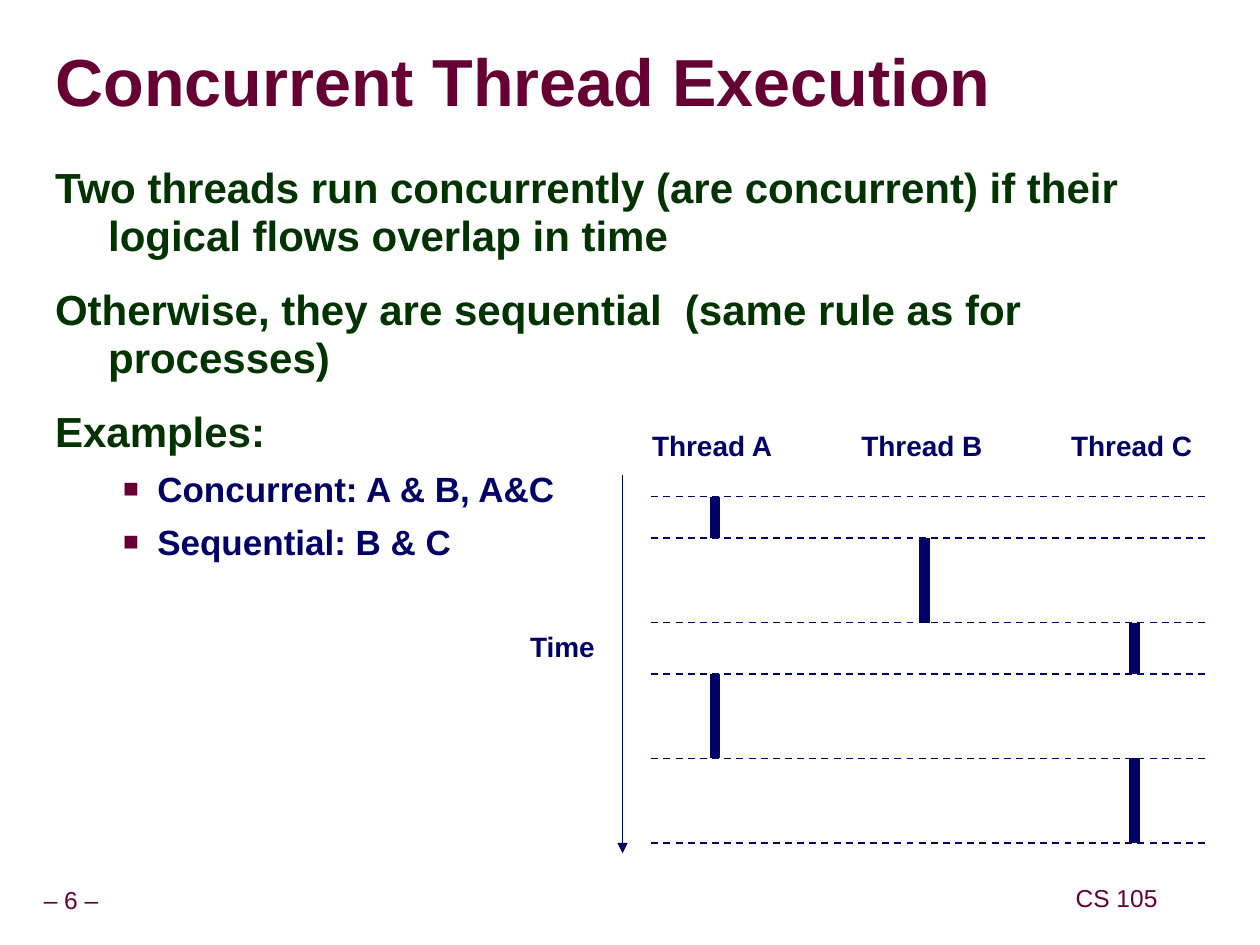
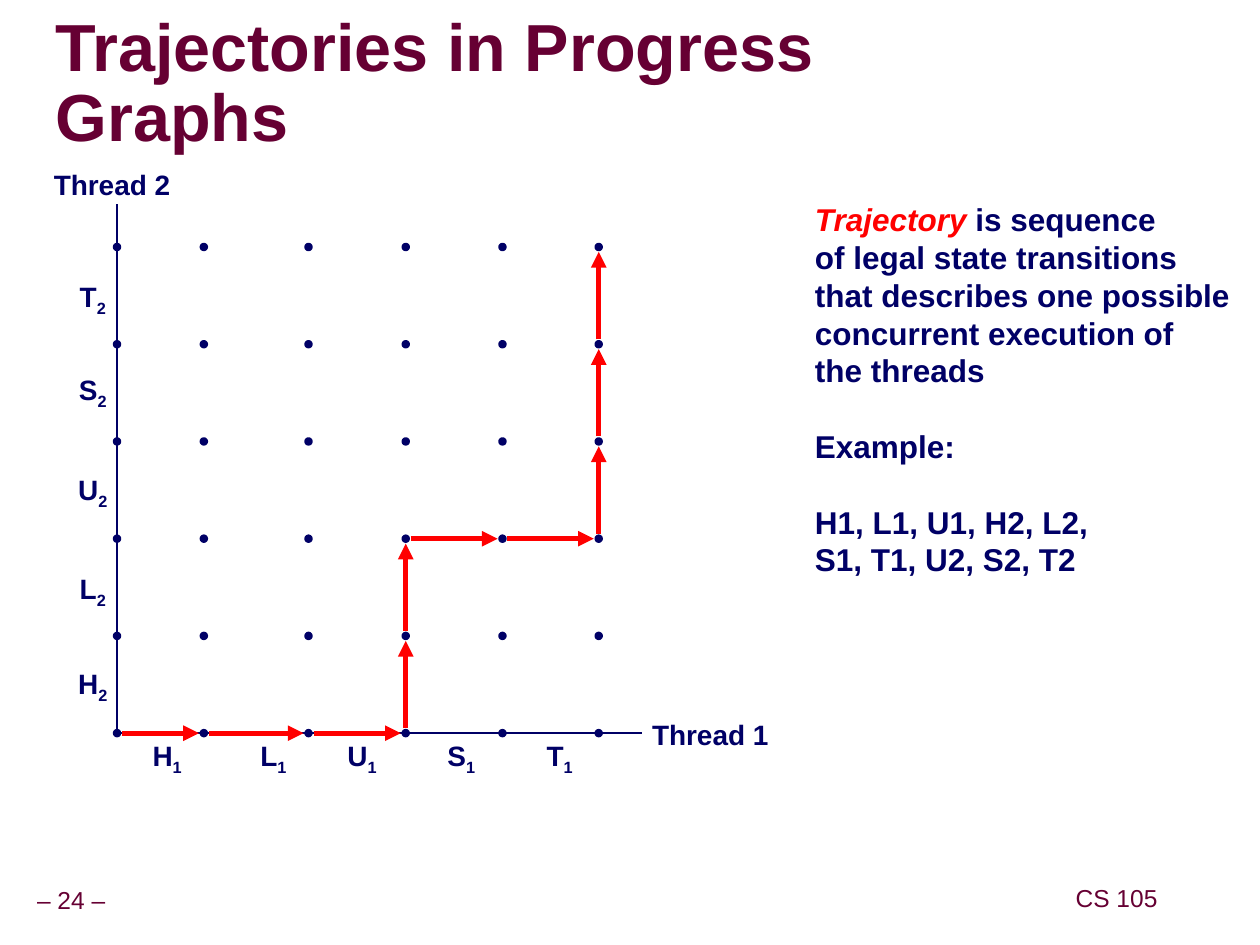
from itertools import pairwise, product

from lxml.etree import SubElement
from pptx import Presentation
from pptx.dml.color import RGBColor
from pptx.enum.dml import MSO_LINE
from pptx.enum.shapes import MSO_CONNECTOR, MSO_SHAPE
from pptx.enum.text import MSO_ANCHOR, MSO_AUTO_SIZE, PP_ALIGN
from pptx.oxml.ns import qn
from pptx.util import Cm, Pt

NAVY, WINE, GREEN, RED = "000066", "660033", "003300", "FF0000"


def paint(target, color):
    """Colour a font or a fill."""
    if hasattr(target, "solid"):
        target.solid()
        target = target.fore_color
    else:
        target = target.color
    target.rgb = RGBColor.from_string(color)


def bullet(para, left, hang, char=None):
    """Set a hanging indent, with or without a bullet."""
    props = para._p.get_or_add_pPr()
    props.set("marL", str(Cm(left)))
    props.set("indent", str(-Cm(hang)))
    if char is None:
        SubElement(props, qn("a:buNone"))
        return
    tint = SubElement(props, qn("a:buClr"))
    SubElement(tint, qn("a:srgbClr")).set("val", WINE)
    SubElement(props, qn("a:buSzPct")).set("val", "75000")
    SubElement(props, qn("a:buFont")).set("typeface", "Arial")
    SubElement(props, qn("a:buChar")).set("char", char)


def write(para, text, size=16, color=NAVY, bold=True, italic=False,
          base=None, align=PP_ALIGN.LEFT, lines=1.0, before=0):
    """Add a run of text to a paragraph and format both."""
    para.alignment = align
    para.line_spacing = lines
    para.space_before = Pt(before)
    run = para.add_run()
    run.text = text
    font = run.font
    font.name, font.size = "Arial", Pt(size)
    font.bold, font.italic = bold, italic
    paint(font, color)
    if base:
        run._r.get_or_add_rPr().set("baseline", str(base * 1000))


class Deck:
    def __init__(self):
        self.pres = Presentation()
        self.pres.slide_width, self.pres.slide_height = Cm(25.4), Cm(19.05)
        self.slide = None

    def start(self, title, page, layout):
        """Open a slide with its title and footers."""
        self.slide = self.pres.slides.add_slide(self.pres.slide_layouts[layout])
        frame = self.hold(self.slide.shapes.title, 1.12, 0.69, 19.84, 2.08,
                          pad=(0, 0), anchor=MSO_ANCHOR.MIDDLE)
        write(frame.paragraphs[0], title, size=38, color=WINE, lines=0.87)
        foot = dict(size=14, color=WINE, bold=False, lines=0.9)
        self.label(f"– {page} –", 0, 17.78, 2.87, 0.79, **foot)
        self.label("CS 105", 21.56, 17.75, 1.9, 0.79, **foot)

    def hold(self, shape, x, y, w, h, pad=(0.25, 0.13),
             anchor=MSO_ANCHOR.TOP, wrap=True):
        """Place a text shape and return its frame."""
        shape.left, shape.top, shape.width, shape.height = map(Cm, (x, y, w, h))
        frame = shape.text_frame
        frame.auto_size = MSO_AUTO_SIZE.NONE
        frame.word_wrap, frame.vertical_anchor = wrap, anchor
        frame.margin_left = frame.margin_right = Cm(pad[0])
        frame.margin_top = frame.margin_bottom = Cm(pad[1])
        return frame

    def box(self, x, y, w, h):
        shape = self.slide.shapes.add_textbox(0, 0, 0, 0)
        return self.hold(shape, x, y, w, h, anchor=MSO_ANCHOR.MIDDLE, wrap=False)

    def label(self, text, x, y, w, h, sub=None, **form):
        """Add one centred line, with an optional subscript."""
        para = self.box(x, y, w, h).paragraphs[0]
        form["align"] = PP_ALIGN.CENTER
        write(para, text, **form)
        if sub:
            write(para, sub, base=-25, **form)

    def body(self, items):
        """Fill the body placeholder with (level, text) items."""
        frame = self.hold(self.slide.placeholders[1], 0.86, 3.2, 23.09, 14.5)
        for num, (level, text) in enumerate(items):
            para = frame.add_paragraph() if num else frame.paragraphs[0]
            para.level = level
            if level:
                bullet(para, 2.06, 0.69, "■")
                write(para, text, size=20, before=6.2)
            else:
                bullet(para, 1.07, 1.07)
                write(para, text, size=24, color=GREEN, lines=0.95,
                      before=15 if num else 0)

    def line(self, start, end, color=NAVY, width=1, dash=False, arrow=False):
        link = self.slide.shapes.add_connector(
            MSO_CONNECTOR.STRAIGHT, *map(Cm, (*start, *end)))
        paint(link.line.fill, color)
        link.line.width = Pt(width)
        if dash:
            link.line.dash_style = MSO_LINE.DASH
        if arrow:
            SubElement(link.line._get_or_add_ln(), qn("a:tailEnd")).set("type", "triangle")
        SubElement(link._element.spPr, qn("a:effectLst"))

    def dot(self, x, y, size=0.1):
        shape = self.slide.shapes.add_shape(
            MSO_SHAPE.OVAL, Cm(x - size / 2), Cm(y - size / 2), Cm(size), Cm(size))
        shape.shadow.inherit = False
        paint(shape.fill, NAVY)
        paint(shape.line.fill, NAVY)
        shape.line.width = Pt(2)


def threads(deck):
    deck.start("Concurrent Thread Execution", 6, layout=1)
    deck.body([
        (0, "Two threads run concurrently (are concurrent) if their logical flows overlap in time"),
        (0, "Otherwise, they are sequential  (same rule as for processes)"),
        (0, "Examples:"),
        (1, "Concurrent: A & B, A&C"),
        (1, "Sequential: B & C"),
    ])

    # Time axis
    deck.line((12.55, 9.58), (12.55, 17.2), arrow=True)
    deck.label("Time", 10.44, 12.55, 1.8, 0.94)

    # Thread columns
    names, step = "ABC", 4.23
    for col, name in enumerate(names):
        deck.label(f"Thread {name}", 12.88 + col * step, 8.51, 2.95, 0.94)

    # Running spans between the switches
    times = [10.01, 10.85, 12.55, 13.59, 15.29, 16.99]
    for name, (top, end) in zip("ABCAC", pairwise(times)):
        x = 14.41 + names.index(name) * step
        deck.line((x, top), (x, end), width=6)
    for y in times:
        deck.line((13.13, y), (24.36, y), dash=True)


def graph(deck):
    deck.start("Trajectories in Progress Graphs", 24, layout=5)

    # Explanation
    frame = deck.box(16.18, 3.91, 9.04, 7.87)
    para = frame.paragraphs[0]
    write(para, "Trajectory", size=18, color=RED, italic=True)
    write(para, " is sequence", size=18)
    for text, gap in [
        ("of legal state transitions", 0),
        ("that describes one possible", 0),
        ("concurrent execution of", 0),
        ("the threads", 0),
        ("Example:", 21.6),
        ("H1, L1, U1, H2, L2,", 21.6),
        ("S1, T1, U2, S2, T2", 0),
    ]:
        write(frame.add_paragraph(), text, size=18, before=gap)

    # Axes
    cols = [2.36, 4.11, 6.22, 8.18, 10.13, 12.07]
    rows = [14.78 - 1.96 * num for num in range(6)]
    zero = cols[0], rows[0]
    deck.line(zero, (12.95, rows[0]))
    deck.line(zero, (cols[0], 4.11))
    deck.label("Thread 1", 12.9, 14.33, 2.84, 0.94)
    deck.label("Thread 2", 0.84, 3.25, 2.84, 0.94)

    # Step names along both axes
    across = [3.37, 5.51, 7.3, 9.3, 11.28]
    upward = [13.83, 11.9, 9.92, 7.89, 6.03]
    for name, x, y in zip("HLUST", across, upward):
        deck.label(name, x - 0.54, 14.76, 1.08, 1.04, sub="1")
        deck.label(name, 1.33, y - 0.52, 1.08, 1.04, sub="2")

    # States
    for x, y in product(cols, rows):
        deck.dot(x, y)

    # Trajectory: R goes right, U goes up
    col = row = 0
    gap = 0.1
    for move in "RRRUURRUUU":
        x, y = cols[col], rows[row]
        if move == "R":
            col += 1
            deck.line((x + gap, y), (cols[col] - gap, y), RED, 3, arrow=True)
        else:
            row += 1
            deck.line((x, y - gap), (x, rows[row] + gap), RED, 3, arrow=True)


def main():
    deck = Deck()
    threads(deck)
    graph(deck)
    deck.pres.save("out.pptx")


if __name__ == "__main__":
    main()
